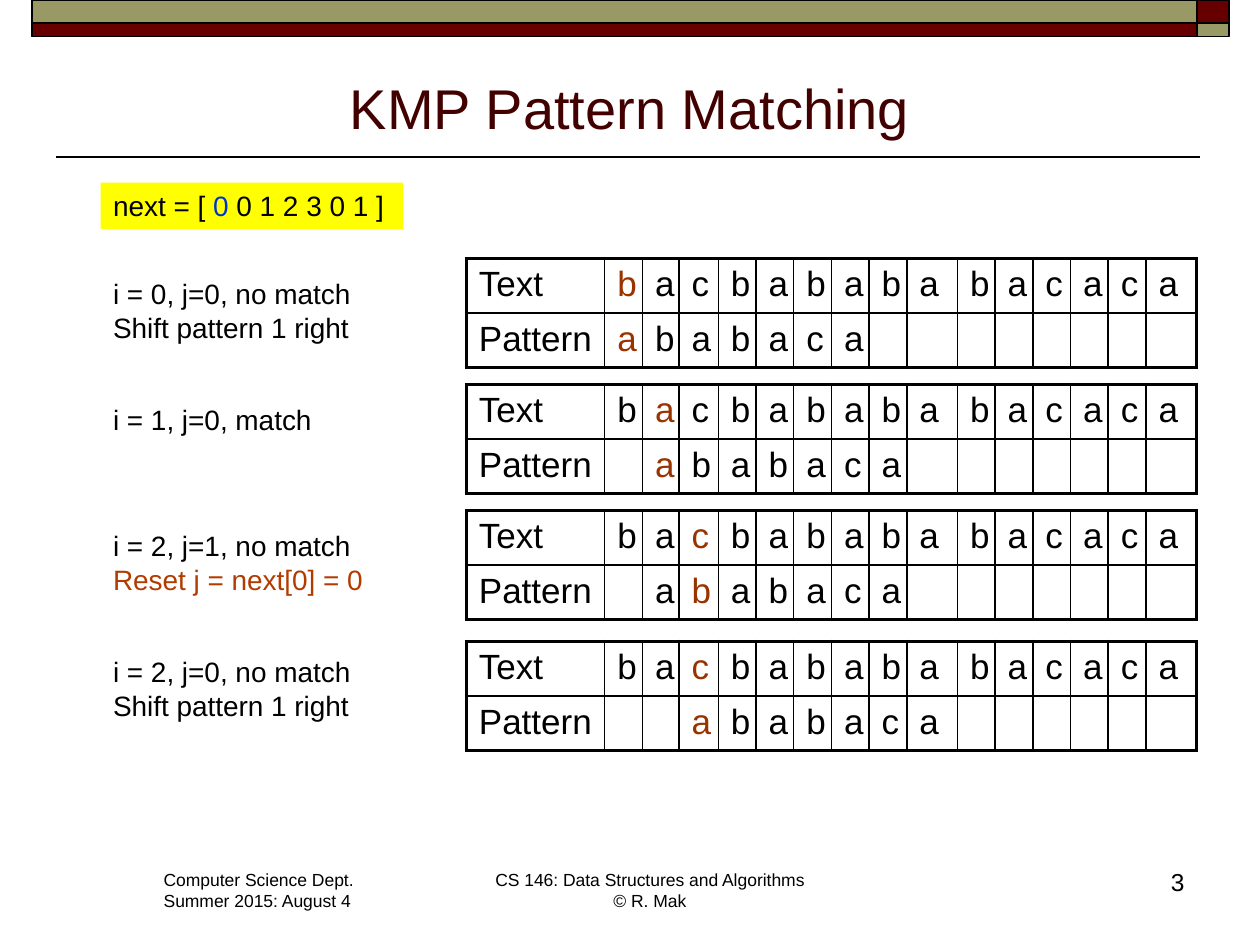
from lxml import etree
from pptx import Presentation
from pptx.dml.color import RGBColor
from pptx.enum.shapes import MSO_CONNECTOR, MSO_SHAPE
from pptx.enum.text import MSO_ANCHOR, PP_ALIGN
from pptx.oxml.ns import qn
from pptx.util import Cm, Pt

BLACK = RGBColor(0x00, 0x00, 0x00)
MAROON = RGBColor(0x66, 0x00, 0x00)
OLIVE = RGBColor(0x99, 0x99, 0x66)
TITLE_RED = RGBColor(0x42, 0x00, 0x00)
CURRENT = RGBColor(0x99, 0x33, 0x00)
RESET = RGBColor(0xB2, 0x3C, 0x00)
BLUE = RGBColor(0x00, 0x33, 0xCC)
YELLOW = RGBColor(0xFF, 0xFF, 0x00)

FONT = "Arial"
TEXT = "bacbabababacaca"
PATTERN = "ababaca"
COLUMN_WIDTHS = [2.79, 0.76, 0.74, 0.79] + [0.76] * 5 + [1.02] + [0.76] * 5 + [1.02]
ROW_HEIGHT = 1.04
THIN, THICK = Pt(1), Pt(2.25)


def write(shape, paragraphs, size, align=PP_ALIGN.LEFT, anchor=MSO_ANCHOR.TOP):
    """Fill a shape with paragraphs, each a list of (text, colour) runs."""
    frame = shape.text_frame
    frame.word_wrap = True
    frame.vertical_anchor = anchor
    for index, runs in enumerate(paragraphs):
        paragraph = frame.add_paragraph() if index else frame.paragraphs[0]
        paragraph.alignment = align
        for text, color in runs:
            if text == "\n":
                paragraph.add_line_break()
                continue
            run = paragraph.add_run()
            run.text = text
            run.font.name = FONT
            run.font.size = Pt(size)
            run.font.color.rgb = color


def set_borders(cell, widths):
    """Draw black left, right, top and bottom borders on a cell."""
    properties = cell._tc.get_or_add_tcPr()
    for index, (side, width) in enumerate(zip("LRTB", widths)):
        line = etree.Element(qn(f"a:ln{side}"), w=str(width))
        fill = etree.SubElement(line, qn("a:solidFill"))
        etree.SubElement(fill, qn("a:srgbClr"), val=str(BLACK))
        properties.insert(index, line)


presentation = Presentation()
presentation.slide_width = Cm(25.4)
presentation.slide_height = Cm(19.05)
slide = presentation.slides.add_slide(presentation.slide_layouts[6])
shapes = slide.shapes

# Header rule and bands
rule = shapes.add_connector(MSO_CONNECTOR.STRAIGHT, Cm(24.2), Cm(3.17), Cm(1.12), Cm(3.17))
rule.line.color.rgb = BLACK
rule.line.width = THIN
etree.SubElement(rule._element.spPr, qn("a:effectLst"))

for left, top, width, height, color in [
    (24.13, 0, 0.64, 0.46, MAROON),
    (0.64, 0, 23.49, 0.46, OLIVE),
    (0.64, 0.46, 23.49, 0.28, MAROON),
    (24.13, 0.46, 0.64, 0.28, OLIVE),
]:
    band = shapes.add_shape(MSO_SHAPE.RECTANGLE, Cm(left), Cm(top), Cm(width), Cm(height))
    band.shadow.inherit = False
    band.fill.solid()
    band.fill.fore_color.rgb = color
    band.line.color.rgb = BLACK
    band.line.width = THIN

# Footer and title
department = shapes.add_textbox(Cm(3.05), Cm(17.4), Cm(4.6), Cm(1.11))
write(department, [[("Computer Science Dept.", BLACK)], [("Summer 2015: August 4", BLACK)]], 10)

course = shapes.add_textbox(Cm(9.6), Cm(17.4), Cm(7), Cm(1.11))
write(course, [[("CS 146: Data Structures and Algorithms", BLACK), ("\n", BLACK),
                ("© R. Mak", BLACK)]], 10, PP_ALIGN.CENTER)

page_number = shapes.add_textbox(Cm(18.85), Cm(17.35), Cm(5.28), Cm(1.27))
write(page_number, [[("3", BLACK)]], 14, PP_ALIGN.RIGHT)

title = shapes.add_textbox(Cm(1.27), Cm(1.14), Cm(22.86), Cm(1.83))
write(title, [[("KMP Pattern Matching", TITLE_RED)]], 32, PP_ALIGN.CENTER, MSO_ANCHOR.BOTTOM)

# Matching steps: table top, note top, i, j, outcome, action, action colour
steps = [
    (5.21, 5.46, 0, 0, "no match", "Shift pattern 1 right", BLACK),
    (7.75, 8, 1, 0, "match", "", BLACK),
    (10.29, 10.54, 2, 1, "no match", "Reset j = next[0] = 0", RESET),
    (12.93, 13.08, 2, 0, "no match", "Shift pattern 1 right", BLACK),
]
for table_top, note_top, i, j, outcome, action, action_color in steps:
    frame = shapes.add_table(2, len(COLUMN_WIDTHS), Cm(9.4), Cm(table_top),
                             Cm(sum(COLUMN_WIDTHS)), Cm(2 * ROW_HEIGHT))
    table = frame.table
    table.first_row = False
    table.horz_banding = False
    for column, width in zip(table.columns, COLUMN_WIDTHS):
        column.width = Cm(width)
    shifted_pattern = (" " * (i - j) + PATTERN).ljust(len(TEXT))
    last = len(TEXT)
    for row, values in enumerate([["Text", *TEXT], ["Pattern", *shifted_pattern]]):
        table.rows[row].height = Cm(ROW_HEIGHT)
        for column, value in enumerate(values):
            cell = table.cell(row, column)
            cell.fill.background()
            set_borders(cell, [
                THICK if column == 0 else THIN,
                THICK if column == last else THIN,
                THICK if row == 0 else THIN,
                THICK if row == 1 else THIN,
            ])
            if value != " ":
                run = cell.text_frame.paragraphs[0].add_run()
                run.text = value
                run.font.name = FONT
                run.font.size = Pt(20)
                run.font.color.rgb = CURRENT if column == i + 1 else BLACK

    note = shapes.add_textbox(Cm(2.03), Cm(note_top), Cm(6), Cm(1.7))
    runs = [(f"i = {i}, j={j}, {outcome}", BLACK)]
    if action:
        runs += [("\n", BLACK), (action, action_color)]
    write(note, [runs], 16)

# Table of next values
next_box = shapes.add_shape(MSO_SHAPE.RECTANGLE, Cm(2.03), Cm(3.68), Cm(6.1), Cm(0.94))
next_box.shadow.inherit = False
next_box.fill.solid()
next_box.fill.fore_color.rgb = YELLOW
next_box.line.fill.background()
write(next_box, [[("next = [ ", BLACK), ("0", BLUE), (" 0 1 2 3 0 1 ]", BLACK)]], 16)

presentation.save("out.pptx")
